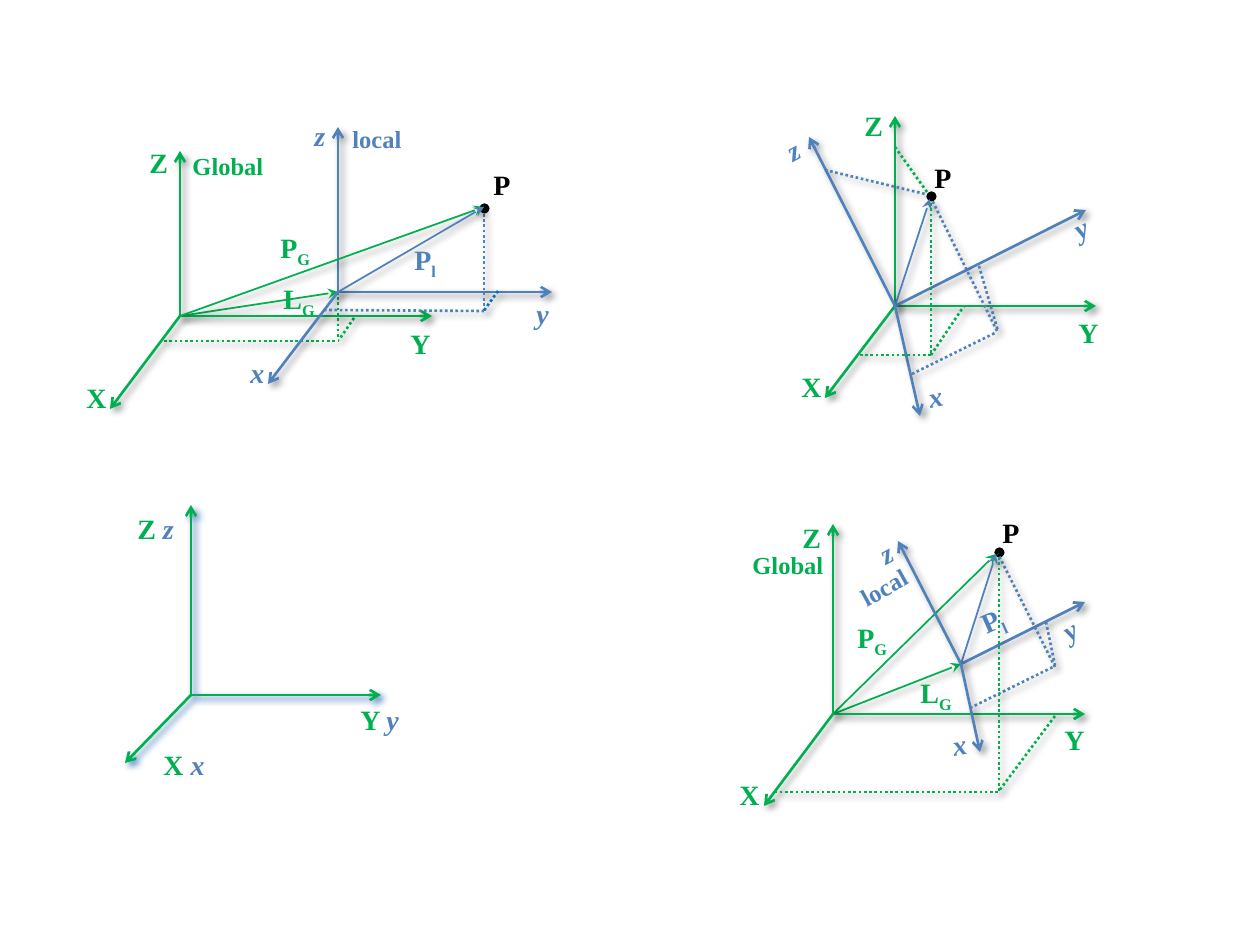
import dataclasses

import pptx
import pptx.dml.color
import pptx.enum.dml
import pptx.enum.shapes
import pptx.enum.text
import pptx.oxml
import pptx.oxml.ns
import pptx.util

EMU_PER_PX = 914400 / 126


@dataclasses.dataclass(frozen=True)
class Theme:
    font: str = "Times New Roman"
    green: str = "00B050"
    blue: str = "4F81BD"
    bright_blue: str = "0070C0"
    black: str = "000000"
    white: str = "FFFFFF"
    symbol_size: int = 16
    frame_name_size: int = 14
    axis_width: float = 1.5
    vector_width: float = 1
    dot_size: int = 13


THEME = Theme()
LABEL_WIDTHS = {
    "x": 39, "y": 38, "z": 37, "X": 45, "Y": 45, "Z": 45, "P": 43,
    "P_G": 57, "L_G": 59, "P_l": 48, "Global": 97, "local": 74,
    "X x": 67, "Y y": 64, "Z z": 62,
}


def px(length):
    return pptx.util.Emu(round(length * EMU_PER_PX))


def rgb(color):
    return pptx.dml.color.RGBColor.from_string(color)


class Diagram:
    def __init__(self, slide, theme):
        self.slide = slide
        self.theme = theme
        self.start_panel()

    def start_panel(self, shadow_color=THEME.black, shadow_opacity=40):
        """Open a new group that takes all elements drawn after it."""
        self.shapes = self.slide.shapes.add_group_shape().shapes
        self.shadow = shadow_color, shadow_opacity

    def line(self, start, end, color, width, head=None, dotted=False):
        connector = self.shapes.add_connector(
            pptx.enum.shapes.MSO_CONNECTOR.STRAIGHT, *map(px, start + end))
        connector.line.color.rgb = rgb(color)
        connector.line.width = pptx.util.Pt(width)
        if dotted:
            connector.line.dash_style = pptx.enum.dml.MSO_LINE.ROUND_DOT
        namespace = pptx.oxml.ns.nsdecls("a")
        if head:
            connector.line._get_or_add_ln().append(
                pptx.oxml.parse_xml(f'<a:tailEnd {namespace} type="{head}"/>'))
        shadow_color, opacity = self.shadow
        connector._element.spPr.append(pptx.oxml.parse_xml(
            f'<a:effectLst {namespace}><a:outerShdw blurRad="50800" dist="38100" '
            f'dir="2700000" algn="tl" rotWithShape="0"><a:srgbClr val="{shadow_color}">'
            f'<a:alpha val="{opacity * 1000}"/></a:srgbClr></a:outerShdw></a:effectLst>'))

    def axes(self, origin, tips, color):
        for tip in tips:
            self.line(origin, tip, color, self.theme.axis_width, head="arrow")

    def vector(self, start, end, color):
        self.line(start, end, color, self.theme.vector_width, head="stealth")

    def guides(self, color, segments):
        for x1, y1, x2, y2 in segments:
            self.line((x1, y1), (x2, y2), color, self.theme.axis_width, dotted=True)

    def point(self, left, top):
        size = px(self.theme.dot_size)
        dot = self.shapes.add_shape(
            pptx.enum.shapes.MSO_SHAPE.OVAL, px(left), px(top), size, size)
        dot.shadow.inherit = False
        dot.fill.solid()
        dot.fill.fore_color.rgb = rgb(self.theme.black)
        dot.line.color.rgb = rgb(self.theme.white)
        dot.line.width = pptx.util.Pt(self.theme.axis_width)

    def label(self, text, left, top, color, rotation=0):
        """Write a label; "_" starts a subscript, and a space a local axis name."""
        named_frame = text in ("Global", "local")
        box = self.shapes.add_textbox(
            px(left), px(top), px(LABEL_WIDTHS[text]), px(43 if named_frame else 47))
        box.rotation = rotation
        frame = box.text_frame
        frame.word_wrap = False
        frame.auto_size = pptx.enum.text.MSO_AUTO_SIZE.SHAPE_TO_FIT_TEXT
        paragraph = frame.paragraphs[0]
        font = paragraph.font
        font.name = self.theme.font
        font.size = pptx.util.Pt(
            self.theme.frame_name_size if named_frame else self.theme.symbol_size)
        font.bold = True
        font.italic = text in ("x", "y", "z")
        font.color.rgb = rgb(color)
        base, _, subscript = text.partition("_")
        first, space, local_name = base.partition(" ")
        paragraph.add_run().text = first + space
        if local_name:
            run = paragraph.add_run()
            run.text = local_name
            run.font.italic = True
            run.font.color.rgb = rgb(self.theme.blue)
        if subscript:
            run = paragraph.add_run()
            run.text = subscript
            run.font._element.set("baseline", "-25000")

    def labels(self, color, placements):
        for placement in placements:
            text, left, top, *rotation = placement
            self.label(text, left, top, color, *rotation)


def draw_translation(diagram):
    theme = diagram.theme
    origin, local_origin, target = (180, 316), (338, 292), (484, 207)
    diagram.point(478, 202)
    diagram.vector(origin, local_origin, theme.green)
    diagram.guides(theme.green, [
        (338, 292, 338, 339), (164, 341, 339, 341), (354, 318, 339, 340)])
    diagram.axes(origin, [(432, 316), (180, 151), (110, 409)], theme.green)
    diagram.axes(local_origin, [(552, 292), (338, 127), (268, 384)], theme.blue)
    diagram.guides(theme.blue, [(484, 214, 484, 311), (324, 310, 484, 311)])
    diagram.guides(theme.bright_blue, [(498, 291, 483, 312)])
    diagram.vector(origin, target, theme.green)
    diagram.vector(local_origin, target, theme.blue)
    diagram.labels(theme.blue, [
        ("z", 302, 112), ("y", 524, 290), ("x", 238, 349),
        ("P_l", 402, 236), ("local", 340, 118)])
    diagram.labels(theme.green, [
        ("Z", 137, 139), ("Y", 398, 320), ("X", 74, 374),
        ("P_G", 268, 224), ("L_G", 271, 275), ("Global", 180, 145)])
    diagram.label("P", 481, 161, theme.black)


def draw_rotation(diagram):
    theme = diagram.theme
    origin = (895, 306)
    diagram.axes(origin, [(1096, 306), (895, 116), (825, 398)], theme.green)
    diagram.point(925, 190)
    diagram.vector(origin, (930, 199), theme.blue)
    diagram.axes(origin, [(1086, 210), (809, 137), (920, 416)], theme.blue)
    diagram.guides(theme.green, [
        (931, 355, 858, 355), (931, 355, 964, 306),
        (927, 192, 895, 147), (931, 353, 931, 202)])
    diagram.guides(theme.blue, [
        (912, 374, 995, 333), (979, 266, 998, 331),
        (825, 170, 925, 194), (997, 331, 932, 200)])
    diagram.labels(theme.green, [("Z", 852, 102), ("Y", 1066, 309), ("X", 789, 363)])
    diagram.labels(theme.blue, [
        ("x", 916, 373, -11.9), ("z", 775, 127, -28.5), ("y", 1062, 205, -25.3)])
    diagram.label("P", 922, 154, theme.black)


def draw_translation_and_rotation(diagram):
    theme = diagram.theme
    origin, local_origin, target = (833, 714), (961, 664), (996, 554)
    diagram.vector(origin, local_origin, theme.green)
    diagram.point(993, 546)
    diagram.vector(origin, target, theme.green)
    diagram.axes(origin, [(1085, 714), (833, 524), (764, 806)], theme.green)
    diagram.vector(local_origin, target, theme.blue)
    diagram.axes(local_origin, [(1085, 602), (898, 541), (980, 752)], theme.blue)
    diagram.guides(theme.blue, [
        (970, 708, 1053, 667), (1055, 667, 998, 554), (1046, 622, 1055, 665)])
    diagram.guides(theme.green, [
        (999, 791, 999, 558), (998, 792, 775, 792), (1055, 716, 999, 791)])
    diagram.labels(theme.green, [
        ("Z", 790, 514), ("Y", 1052, 716), ("X", 727, 771),
        ("L_G", 908, 669), ("P_G", 845, 614), ("Global", 740, 544)])
    diagram.labels(theme.blue, [
        ("x", 940, 721, -10.3), ("z", 868, 530, -28.5), ("y", 1051, 606, -30),
        ("P_l", 969, 597, -23.9), ("local", 847, 566, -28.9)])
    diagram.label("P", 990, 509, theme.black)


def draw_coincident_frames(diagram):
    theme = diagram.theme
    diagram.axes((191, 695), [(381, 695), (191, 505), (125, 763)], theme.green)
    diagram.labels(theme.green, [
        ("X x", 151, 741), ("Z z", 125, 505), ("Y y", 348, 696)])


def main():
    presentation = pptx.Presentation()
    presentation.slide_width = px(1260)
    presentation.slide_height = px(945)
    slide = presentation.slides.add_slide(presentation.slide_layouts[6])
    diagram = Diagram(slide, THEME)
    draw_translation(diagram)
    diagram.start_panel()
    draw_rotation(diagram)
    diagram.start_panel()
    draw_translation_and_rotation(diagram)
    diagram.start_panel(shadow_color=THEME.blue, shadow_opacity=100)
    draw_coincident_frames(diagram)
    presentation.save("out.pptx")


if __name__ == "__main__":
    main()
